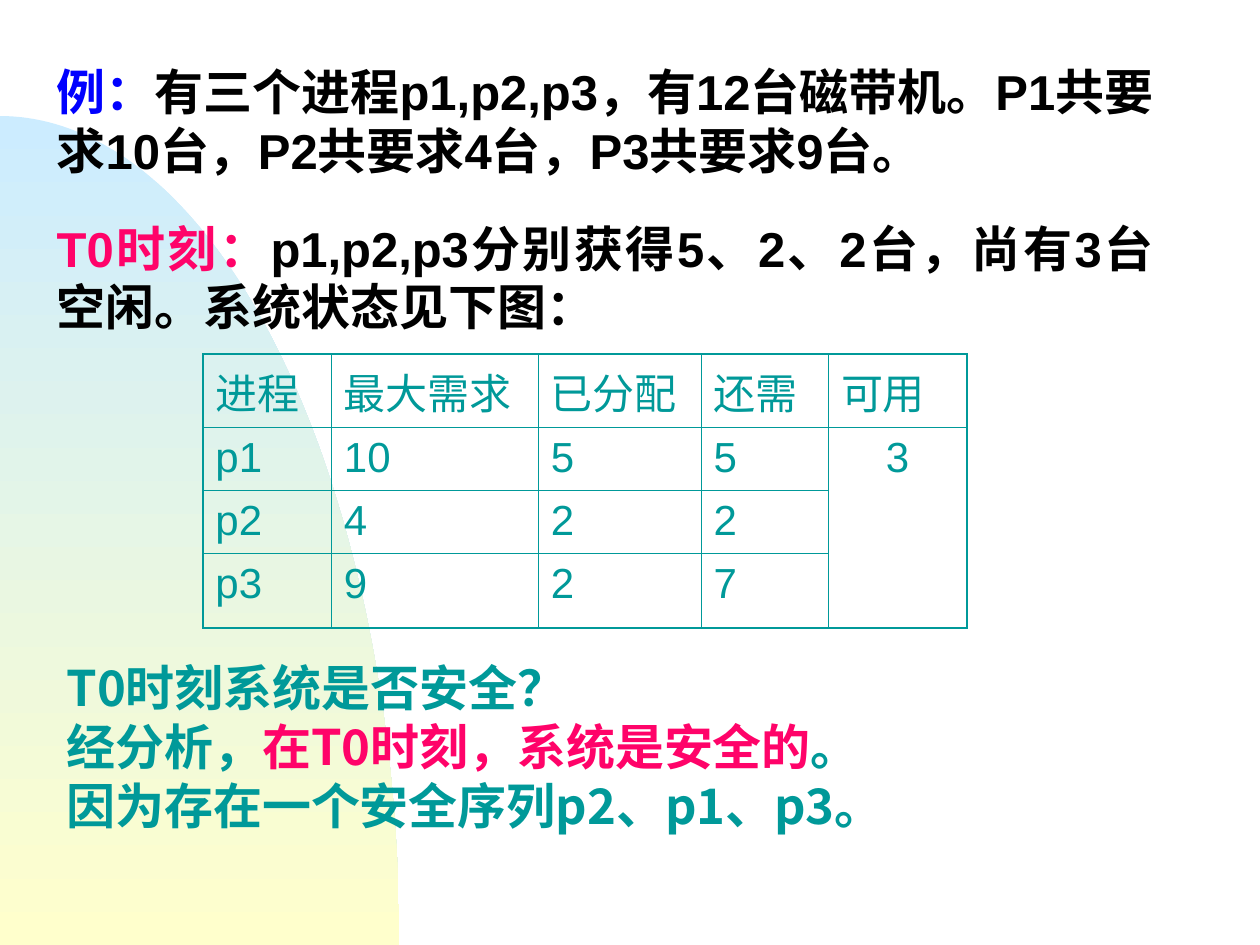
import itertools
import math

import pptx
import pptx.dml.color
import pptx.enum.text
import pptx.oxml
import pptx.util

Cm, Pt = pptx.util.Cm, pptx.util.Pt
ALIGN = pptx.enum.text.PP_ALIGN


class Theme:
    BLACK, BLUE, PINK, TEAL = "000000", "0000FF", "FF0369", "009999"
    SKY, CREAM = "CCECFF", "FFFFCC"
    LATIN, SERIF, SANS = "Arial", "Times New Roman", "Noto Sans CJK SC"
    STATEMENT, CELL = 28, 24
    OUTER_BORDER, INNER_BORDER = 1.08, 0.45


# Each paragraph is a list of (text, colour) pieces.
QUESTION = [
    [("例：", Theme.BLUE),
     ("有三个进程p1,p2,p3，有12台磁带机。P1共要求10台，P2共要求4台，P3共要求9台。", Theme.BLACK)],
    [("T0时刻：", Theme.PINK),
     ("p1,p2,p3分别获得5、2、2台，尚有3台空闲。系统状态见下图：", Theme.BLACK)],
]
ANSWER = [
    [("T0时刻系统是否安全？", Theme.TEAL)],
    [("经分析，", Theme.TEAL), ("在T0时刻，系统是安全的", Theme.PINK), ("。", Theme.TEAL)],
    [("因为存在一个安全序列p2、p1、p3。", Theme.TEAL)],
]
STATE = [
    ["进程", "最大需求", "已分配", "还需", "可用"],
    ["p1", "10", "5", "5", "3"],
    ["p2", "4", "2", "2", ""],
    ["p3", "9", "2", "7", ""],
]
COLUMN_WIDTHS = [2.59, 4.17, 3.28, 2.57, 2.79]
ROW_HEIGHTS = [1.4, 1.27, 1.27, 1.5]


def rgb(colour):
    return pptx.dml.color.RGBColor.from_string(colour)


def write(paragraph, text, *, font, size, colour, bold=False, latin=None, align=None):
    """Append text; runs of ASCII use the latin font when one is given."""
    if align is not None:
        paragraph.alignment = align
    for is_ascii, letters in itertools.groupby(text, key=lambda letter: letter.isascii()):
        run = paragraph.add_run()
        run.text = "".join(letters)
        run.font.name = latin if latin and is_ascii else font
        run.font.size = Pt(size)
        run.font.bold = bold
        run.font.color.rgb = rgb(colour)


def write_paragraphs(frame, paragraphs, gaps, **style):
    frame.word_wrap = True
    for index, (pieces, gap) in enumerate(zip(paragraphs, gaps)):
        paragraph = frame.paragraphs[0] if index == 0 else frame.add_paragraph()
        paragraph.space_before = Pt(gap)
        for text, colour in pieces:
            write(paragraph, text, colour=colour, size=Theme.STATEMENT, bold=True, **style)


def remove_bullet(paragraph):
    properties = paragraph._p.get_or_add_pPr()
    properties.set("marL", "0")
    properties.set("indent", "0")
    properties.append(pptx.oxml.parse_xml(
        '<a:buNone xmlns:a="http://schemas.openxmlformats.org/drawingml/2006/main"/>'))


def add_backdrop(slide, top, width, height, steps=90):
    """Quarter ellipse rising from the lower left corner, behind everything."""
    angles = [math.pi / 2 * step / steps for step in range(steps + 1)]
    points = [(Cm(width * math.sin(angle)), Cm(top + height * (1 - math.cos(angle))))
              for angle in angles]
    builder = slide.shapes.build_freeform(*points[0])
    builder.add_line_segments(points[1:] + [(0, Cm(top + height))], close=True)
    shape = builder.convert_to_shape()
    shape.shadow.inherit = False
    shape.line.fill.background()
    shape.fill.gradient()
    shape.fill.gradient_angle = 270
    for stop, colour, position in zip(shape.fill.gradient_stops, (Theme.SKY, Theme.CREAM), (0, 1)):
        stop.color.rgb = rgb(colour)
        stop.position = position
    slide.shapes._spTree.insert(2, shape._element)


def set_borders(cell, outer_sides):
    properties = cell._tc.get_or_add_tcPr()
    for index, side in enumerate("LRTB"):
        width = Theme.OUTER_BORDER if side in outer_sides else Theme.INNER_BORDER
        properties.insert(index, pptx.oxml.parse_xml(
            f'<a:ln{side} xmlns:a="http://schemas.openxmlformats.org/drawingml/2006/main"'
            f' w="{int(Pt(width))}"><a:solidFill><a:srgbClr val="{Theme.TEAL}"/>'
            f'</a:solidFill></a:ln{side}>'))


def add_state_table(slide, left, top):
    last_row, last_column = len(STATE) - 1, len(STATE[0]) - 1
    table = slide.shapes.add_table(
        len(STATE), len(STATE[0]), Cm(left), Cm(top),
        Cm(sum(COLUMN_WIDTHS)), Cm(sum(ROW_HEIGHTS))).table
    table.first_row = table.horz_banding = False
    for column, width in zip(table.columns, COLUMN_WIDTHS):
        column.width = Cm(width)
    for row, height in zip(table.rows, ROW_HEIGHTS):
        row.height = Cm(height)
    table.cell(1, last_column).merge(table.cell(last_row, last_column))
    for r, values in enumerate(STATE):
        for c, value in enumerate(values):
            cell = table.cell(r, c)
            cell.fill.background()
            merged = cell.is_merge_origin
            edges = {"L": c == 0, "R": c == last_column, "T": r == 0,
                     "B": r == last_row or merged}
            set_borders(cell, [side for side, outer in edges.items() if outer])
            if value:
                write(cell.text_frame.paragraphs[0], value, font=Theme.LATIN,
                      size=Theme.CELL, colour=Theme.TEAL,
                      align=ALIGN.CENTER if merged else ALIGN.LEFT)


def main():
    presentation = pptx.Presentation()
    presentation.slide_width, presentation.slide_height = Cm(25.4), Cm(19.05)
    slide = presentation.slides.add_slide(presentation.slide_layouts[1])
    title = slide.shapes.title
    title._element.getparent().remove(title._element)

    add_backdrop(slide, top=2.34, width=8.05, height=16.71)

    body = slide.placeholders[1]
    body.left, body.top, body.width, body.height = Cm(0.89), Cm(1.12), Cm(22.61), Cm(6.81)
    body.text_frame.auto_size = pptx.enum.text.MSO_AUTO_SIZE.NONE
    write_paragraphs(body.text_frame, QUESTION, gaps=(7, 22), font=Theme.SERIF,
                     latin=Theme.LATIN, align=ALIGN.JUSTIFY)
    for paragraph in body.text_frame.paragraphs:
        remove_bullet(paragraph)

    add_state_table(slide, left=4.09, top=7.14)

    answer = slide.shapes.add_textbox(Cm(1.09), Cm(13.13), Cm(22.4), Cm(5))
    write_paragraphs(answer.text_frame, ANSWER, gaps=(0, 0, 0), font=Theme.SANS)

    presentation.save("out.pptx")


if __name__ == "__main__":
    main()
